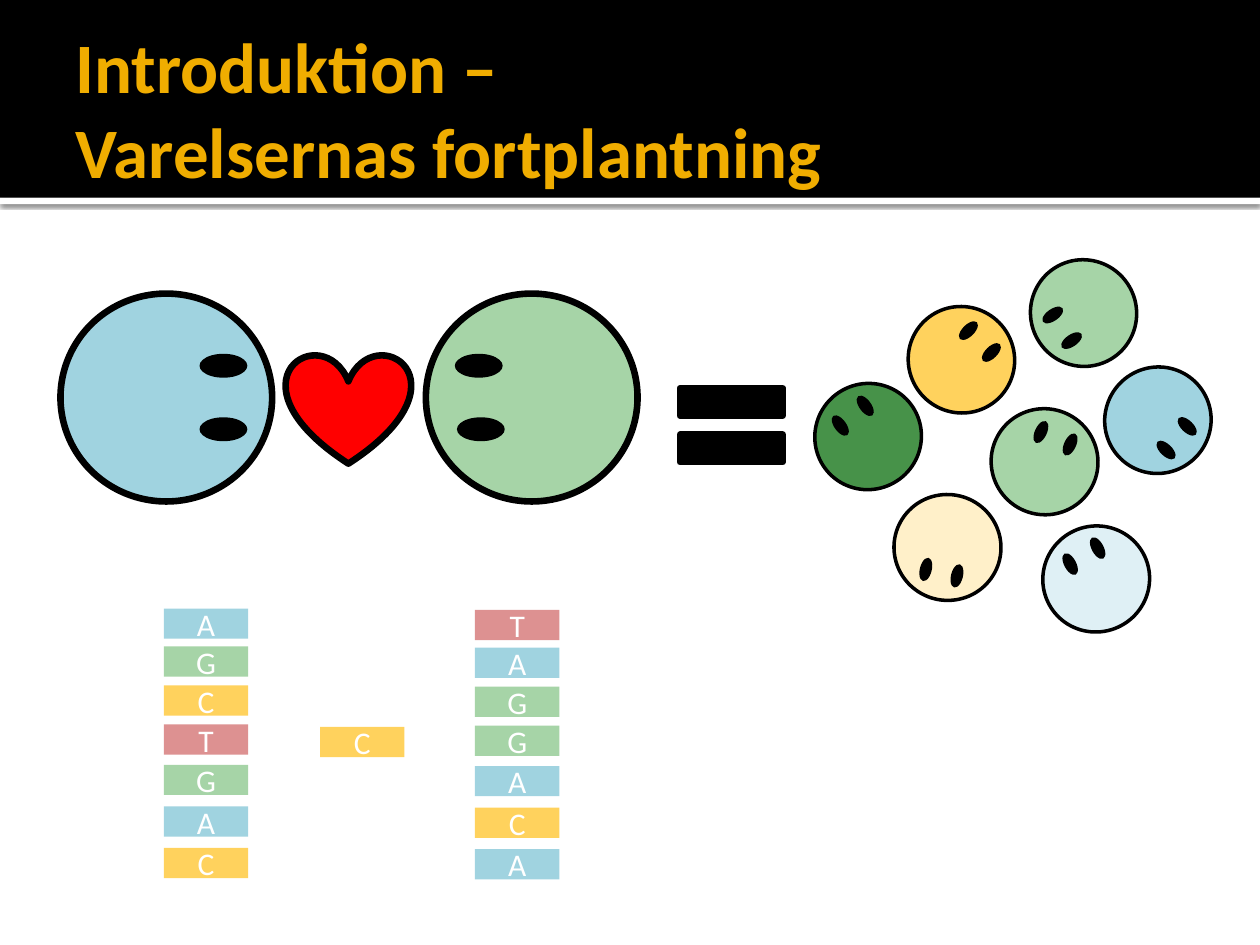
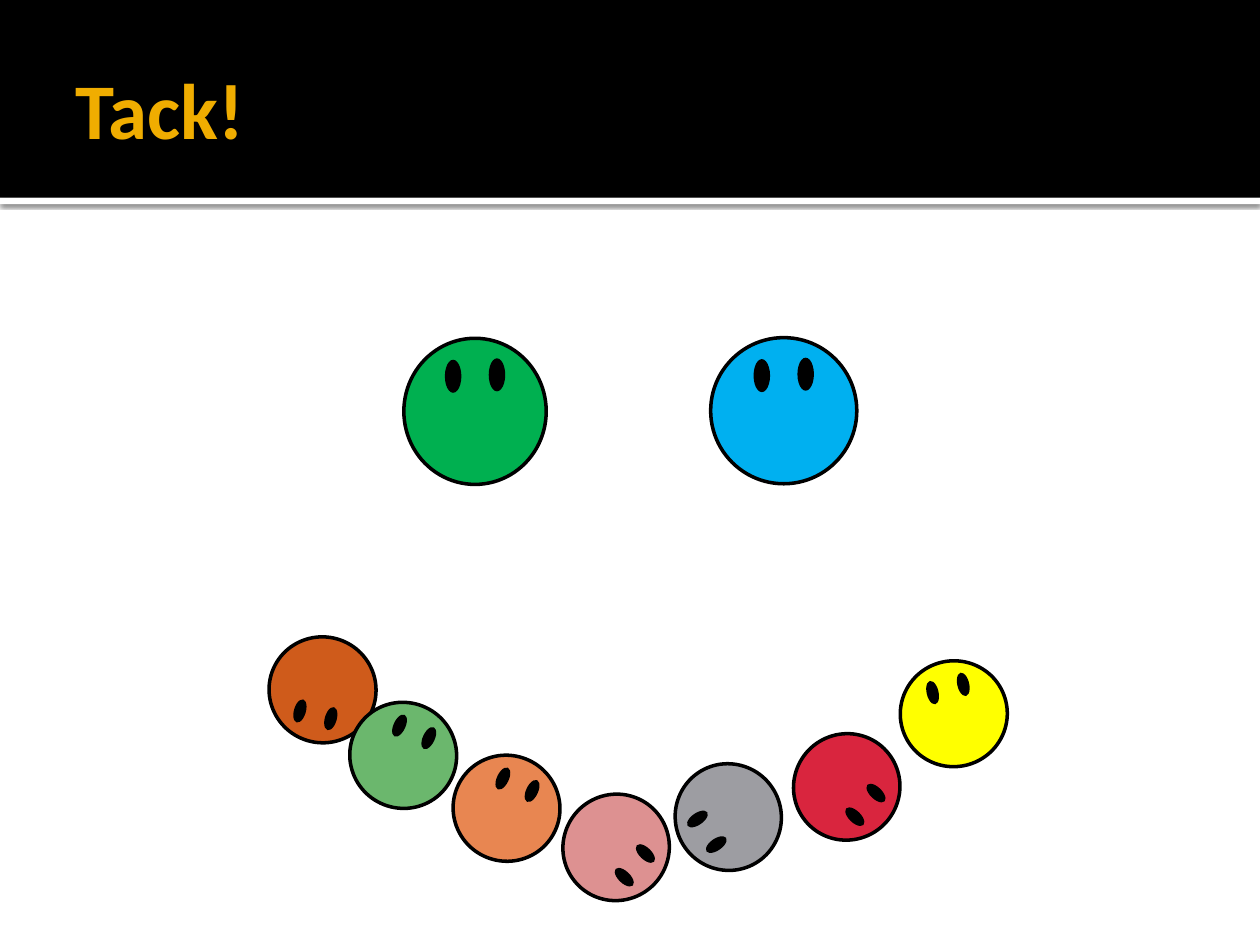
from math import cos, radians, sin
from typing import NamedTuple

from pptx import Presentation
from pptx.dml.color import RGBColor
from pptx.enum.shapes import MSO_SHAPE as Preset
from pptx.enum.text import MSO_ANCHOR, MSO_AUTO_SIZE, PP_ALIGN
from pptx.oxml import parse_xml
from pptx.oxml.ns import nsdecls, qn
from pptx.util import Inches, Pt

COLORS = {
    "black": "000000", "white": "FFFFFF", "title": "F0AD00", "heart": "FF0000",
    "sky": "A0D3E0", "leaf": "A6D4A7", "amber": "FFD25D", "rose": "DD9191",
    "cream": "FFF0C9", "forest": "479249", "ice": "DFF0F5", "rust": "CF5B1B",
    "moss": "6BB76D", "orange": "E88651", "grey": "9D9DA2", "red": "D9253E",
    "yellow": "FFFF00", "green": "00B050", "blue": "00B0F0",
}
BASE_COLORS = {"A": "sky", "G": "leaf", "C": "amber", "T": "rose"}
FONT = "Calibri"
SLIDE_WIDTH, SLIDE_HEIGHT = Inches(10), Inches(7.5)
COLUMN = SLIDE_WIDTH / 100
BAND_HEIGHT = 15.7
CHILD_SIZE = (8.4, 8.5)
BASE_SIZE = (6.7, 2.4)
BASE_ROWS = (0, 3, 6.1, 9.2, 12.4, 15.7, 19)
THICK, THIN = 3.78, 2


class Box(NamedTuple):
    """A rectangle measured in hundredths of the slide's width."""
    left: float
    top: float
    width: float
    height: float

    def inner(self, left, top, width, height):
        """Return a box placed from this box's corner."""
        return Box(self.left + left, self.top + top, width, height)

    def emu(self):
        """Return the four lengths in EMU."""
        return [round(length * COLUMN) for length in self]


def rgb(name):
    """Look up a palette colour."""
    return RGBColor.from_string(COLORS[name])


def add_filled(shapes, preset, box, color, outline=None, rotation=0):
    """Add a flat preset shape, outlined in black when a width is given."""
    shape = shapes.add_shape(preset, *box.emu())
    shape.shadow.inherit = False
    shape.fill.solid()
    shape.fill.fore_color.rgb = rgb(color)
    if outline:
        shape.line.color.rgb = rgb("black")
        shape.line.width = Pt(outline)
    else:
        shape.line.fill.background()
    shape.rotation = rotation
    return shape


def add_face(slide, box, color, rotation=0, outline=THIN, eye_shifts=(-0.25, -0.24)):
    """Draw a round creature whose two eyes turn with it."""
    parts = slide.shapes.add_group_shape().shapes
    add_filled(parts, Preset.OVAL, box, color, outline, rotation)
    turn = radians(rotation)
    eye_width, eye_height = 0.226 * box.width, 0.113 * box.width
    for shift, side in zip(eye_shifts, (-0.15, 0.15)):
        across = box.width * (shift * cos(turn) - side * sin(turn))
        down = box.width * (shift * sin(turn) + side * cos(turn))
        eye = box.inner(box.width / 2 + across - eye_width / 2,
                        box.height / 2 + down - eye_height / 2, eye_width, eye_height)
        add_filled(parts, Preset.OVAL, eye, "black", rotation=rotation)


def add_children(slide, region, children):
    """Place small faces, each given as offset, colour and rotation."""
    for left, top, color, rotation in children:
        add_face(slide, region.inner(left, top, *CHILD_SIZE), color, rotation)


def add_parents(slide, region):
    """Draw the couple with a heart between them."""
    add_face(slide, region.inner(0, 0, 16.8, 16.5), "sky", 0, THICK, (0.27, 0.27))
    add_face(slide, region.inner(29, 0, 16.8, 16.5), "leaf", 0, THICK)
    add_filled(slide.shapes, Preset.HEART, region.inner(17.9, 4.8, 9.9, 8.7), "heart", THICK)


def add_equals(slide, box):
    """Draw the equals sign."""
    sign = add_filled(slide.shapes, Preset.MATH_EQUAL, box, "black", THICK)
    sign.adjustments[0], sign.adjustments[1] = 0.235, 0.161


def add_base(shapes, box, letter):
    """Draw one lettered DNA base."""
    base = add_filled(shapes, Preset.RECTANGLE, box, BASE_COLORS[letter])
    base.text_frame.text = letter
    base.text_frame.vertical_anchor = MSO_ANCHOR.MIDDLE
    paragraph = base.text_frame.paragraphs[0]
    paragraph.alignment = PP_ALIGN.CENTER
    paragraph.font.size = Pt(18)
    paragraph.font.name = FONT
    paragraph.font.color.rgb = rgb("white")


def add_strand(slide, region, letters):
    """Stack DNA bases from the region's top."""
    parts = slide.shapes.add_group_shape().shapes
    for row, letter in zip(BASE_ROWS, letters):
        add_base(parts, region.inner(0, row, *BASE_SIZE), letter)


def style_layout(layout, slide):
    """Move the header band and its shadowed rule onto the layout."""
    for placeholder in list(layout.placeholders)[1:]:
        placeholder.element.getparent().remove(placeholder.element)
    band = add_filled(slide.shapes, Preset.RECTANGLE, Box(0, 0, 100, BAND_HEIGHT), "black")
    rule = add_filled(slide.shapes, Preset.RECTANGLE, Box(0, BAND_HEIGHT, 100, 0.5), "white")
    rule.element.spPr.find(qn("a:effectLst")).append(parse_xml(
        f'<a:outerShdw {nsdecls("a")} blurRad="{Pt(2.5)}" dist="{Pt(0.8)}" dir="5400000">'
        f'<a:srgbClr val="{COLORS["black"]}"><a:alpha val="60000"/></a:srgbClr>'
        '</a:outerShdw>'))
    for part in (band, rule):
        layout.shapes.element.insert(2, part.element)


def set_title(slide, text, size):
    """Fill and format the title placeholder."""
    title = slide.shapes.title
    title.left, title.top, title.width, title.height = Box(5, 1.7, 90, 13.7).emu()
    frame = title.text_frame
    frame.text = text
    frame.auto_size = MSO_AUTO_SIZE.NONE
    frame.word_wrap = True
    frame.vertical_anchor = MSO_ANCHOR.MIDDLE
    frame.margin_left = Inches(0.1)
    frame.margin_right = frame.margin_top = frame.margin_bottom = Inches(0.05)
    paragraph = frame.paragraphs[0]
    paragraph.alignment = PP_ALIGN.LEFT
    paragraph.font.size = Pt(size)
    paragraph.font.name = FONT
    paragraph.font.bold = True
    paragraph.font.color.rgb = rgb("title")


def build_reproduction(slide):
    """Show two parents, their offspring and their DNA."""
    set_title(slide, "Introduktion –\vVarelsernas fortplantning", 40.5)
    add_parents(slide, Box(4.8, 23.3, 45.8, 16.5))
    add_equals(slide, Box(52.5, 29.1, 11.1, 9.3))
    add_children(slide, Box(64.7, 20.6, 31.4, 29.6), [
        (7.4, 3.7, "amber", 135.5),
        (6.3, 18.6, "cream", 283.6),
        (23, 8.5, "sky", 223.8),
        (14, 11.8, "leaf", 115),
        (0, 9.8, "forest", 53.6),
        (18.1, 21.1, "ice", 61.8),
        (17.1, 0, "leaf", 325.5),
    ])
    add_strand(slide, Box(13, 48.3, 6.7, 21.4), "AGCTGAC")
    add_strand(slide, Box(37.7, 48.4, 6.7, 21.4), "TAGGACA")
    add_base(slide.shapes, Box(25.4, 57.7, *BASE_SIZE), "C")


def build_thanks(slide):
    """Arrange faces as the eyes and mouth of a smile."""
    set_title(slide, "Tack!", 45)
    add_children(slide, Box(21.4, 50.5, 58.5, 21), [
        (0, 0, "rust", 286),
        (6.4, 5.2, "moss", 115),
        (23.3, 12.5, "rose", 223.8),
        (14.6, 9.4, "orange", 115),
        (32.2, 10.1, "grey", 325.5),
        (41.6, 7.7, "red", 223.8),
        (50.1, 1.9, "yellow", 76.9),
    ])
    add_face(slide, Box(31.9, 27, 11.6, 11.3), "green", 90)
    add_face(slide, Box(56.4, 26.8, 11.6, 11.6), "blue", 90)


def main():
    """Build and save the presentation."""
    deck = Presentation()
    deck.slide_width, deck.slide_height = SLIDE_WIDTH, SLIDE_HEIGHT
    layout = deck.slide_layouts[5]
    reproduction, thanks = (deck.slides.add_slide(layout) for _ in range(2))
    style_layout(layout, reproduction)
    build_reproduction(reproduction)
    build_thanks(thanks)
    deck.save("out.pptx")


if __name__ == "__main__":
    main()
